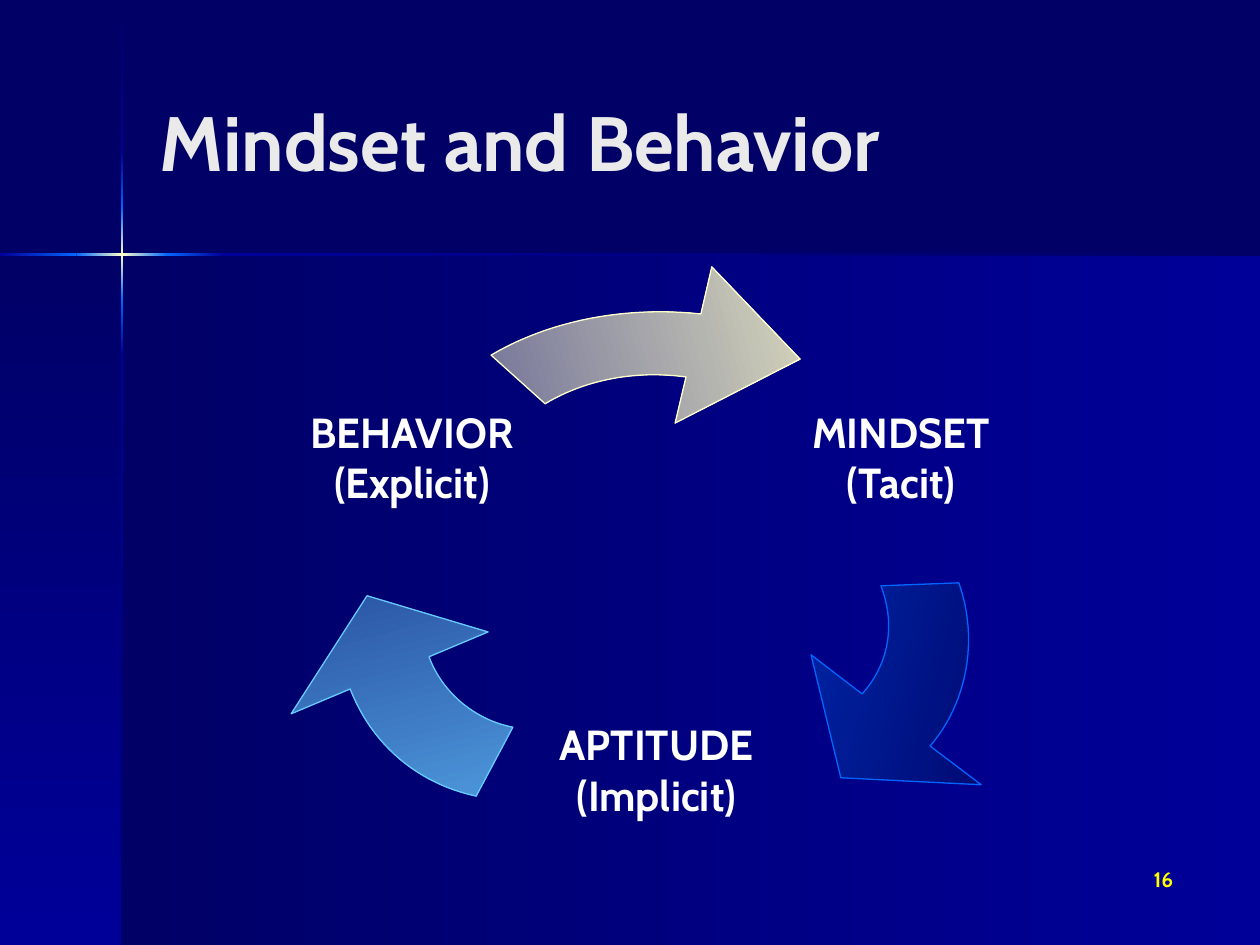
from dataclasses import dataclass
from itertools import pairwise

from pptx import Presentation
from pptx.dml.color import RGBColor
from pptx.enum.shapes import MSO_SHAPE
from pptx.enum.text import MSO_ANCHOR, PP_ALIGN
from pptx.util import Cm, Pt

RECT = MSO_SHAPE.RECTANGLE
LEFT, CENTER, RIGHT = PP_ALIGN.LEFT, PP_ALIGN.CENTER, PP_ALIGN.RIGHT
TOP, MIDDLE = MSO_ANCHOR.TOP, MSO_ANCHOR.MIDDLE
RIGHTWARD, DOWNWARD = 0, 270  # gradient angles, counter-clockwise


@dataclass(frozen=True)
class Theme:
    font: str = "Cabin"
    navy: str = "000066"
    blue: str = "000099"
    bright: str = "0066FF"
    cream: str = "FFFFCC"
    sky: str = "66CCFF"
    title: str = "EAEAEA"
    label: str = "FFFFFF"
    number: str = "FFFF00"
    title_size: int = 44
    label_size: int = 24
    number_size: int = 12


theme = Theme()


def paint(sp, start, end, angle, line=None):
    """Give a shape a two-colour gradient and an optional thin outline."""
    sp.shadow.inherit = False
    sp.fill.gradient()
    sp.fill.gradient_angle = angle
    for stop, color in zip(sp.fill.gradient_stops, (start, end)):
        stop.color.rgb = RGBColor.from_string(color)
    if line:
        sp.line.color.rgb = RGBColor.from_string(line)
        sp.line.width = Pt(0.75)
    else:
        sp.line.fill.background()


def bezier(p0, p1, p2, p3, steps=24):
    """Return points along a cubic curve."""
    points = []
    for i in range(steps + 1):
        t = i / steps
        weights = ((1 - t) ** 3, 3 * t * (1 - t) ** 2, 3 * t**2 * (1 - t), t**3)
        points.append(tuple(sum(w * p[axis] for w, p in zip(weights, (p0, p1, p2, p3)))
                            for axis in (0, 1)))
    return points


prs = Presentation()
prs.slide_width, prs.slide_height = Cm(25.4), Cm(19.05)
s = prs.slides.add_slide(prs.slide_layouts[6])
s.background.fill.solid()
s.background.fill.fore_color.rgb = RGBColor.from_string(theme.navy)

# Panels below and beside the crossing beams
cross_x, cross_y, beam = 2.46, 5.13, 0.05
for x, width, angle in ((cross_x, 25.4 - cross_x, RIGHTWARD), (0, cross_x, DOWNWARD)):
    sp = s.shapes.add_shape(RECT, Cm(x), Cm(cross_y), Cm(width), Cm(19.05 - cross_y))
    paint(sp, theme.navy, theme.blue, angle)

# Beams: each pair of neighbouring stops is one gradient piece
vertical = ((0, theme.navy), (3.07, theme.blue), (4.19, theme.bright), (cross_y, theme.cream),
            (6.05, theme.bright), (7.16, theme.blue), (19.05, theme.navy))
horizontal = ((0, theme.blue), (1.54, theme.bright), (cross_x, theme.cream),
              (3.38, theme.bright), (4.5, theme.blue), (25.4, theme.navy))
for (start, color), (end, next_color) in pairwise(vertical):
    sp = s.shapes.add_shape(RECT, Cm(cross_x - beam / 2), Cm(start), Cm(beam), Cm(end - start))
    paint(sp, color, next_color, DOWNWARD)
for (start, color), (end, next_color) in pairwise(horizontal):
    sp = s.shapes.add_shape(RECT, Cm(start), Cm(cross_y - beam / 2), Cm(end - start), Cm(beam))
    paint(sp, color, next_color, RIGHTWARD)

# Cycle arrows: outer curve, head, inner curve, gradient, outline
arrows = (
    (((9.9, 7.16), (11.11, 6.45), (12.62, 6.17), (14.13, 6.33)),
     ((14.35, 5.38), (16.13, 7.24), (13.61, 8.53)),
     ((13.83, 7.6), (12.8, 7.46), (11.79, 7.66), (10.99, 8.14)),
     ("76769A", "D4D4BB", 15), theme.cream),
    (((19.33, 11.75), (19.74, 12.9), (19.49, 14.19), (18.75, 15.04)),
     ((19.78, 15.82), (16.95, 15.68), (16.35, 13.2)),
     ((17.38, 13.99), (17.92, 13.39), (18.06, 12.6), (17.76, 11.81)),
     ("0024A4", "000A74", 345), theme.bright),
    (((9.6, 16.05), (8.43, 15.8), (7.5, 15.02), (7.06, 13.89)),
     ((5.87, 14.39), (7.4, 12.01), (9.84, 12.74)),
     ((8.65, 13.24), (8.91, 13.95), (9.56, 14.51), (10.34, 14.66)),
     ("2A54A4", "4C96DA", 285), theme.sky),
)
for outer, head, inner, gradient, line in arrows:
    outline = [(Cm(x), Cm(y)) for x, y in (*bezier(*outer), *head, *bezier(*inner))]
    builder = s.shapes.build_freeform(*outline[0])
    builder.add_line_segments(outline[1:], close=True)
    paint(builder.convert_to_shape(), *gradient, line)

# Title, cycle labels and slide number
label_style = (CENTER, MIDDLE, theme.label_size, theme.label)
label_width, label_height = 4.17, 3.07
texts = (
    ("Mindset and Behavior", 2.97, 0.84, 20.96, 3.99,
     LEFT, MIDDLE, theme.title_size, theme.title),
    ("MINDSET\n(Tacit)", 16.08, 7.67, label_width, label_height, *label_style),
    ("APTITUDE\n(Implicit)", 11.15, 13.97, label_width, label_height, *label_style),
    ("BEHAVIOR\n(Explicit)", 6.22, 7.67, label_width, label_height, *label_style),
    ("16", 18.62, 17.35, 5.28, 1.27, RIGHT, TOP, theme.number_size, theme.number),
)
for text, x, y, width, height, align, anchor, size, color in texts:
    tf = s.shapes.add_textbox(Cm(x), Cm(y), Cm(width), Cm(height)).text_frame
    tf.word_wrap = True
    tf.vertical_anchor = anchor
    if align == CENTER:
        tf.margin_left = tf.margin_right = tf.margin_top = tf.margin_bottom = 0
    tf.text = text
    for p in tf.paragraphs:
        p.alignment = align
        for r in p.runs:
            r.font.name, r.font.size, r.font.bold = theme.font, Pt(size), True
            r.font.color.rgb = RGBColor.from_string(color)

prs.save("out.pptx")
